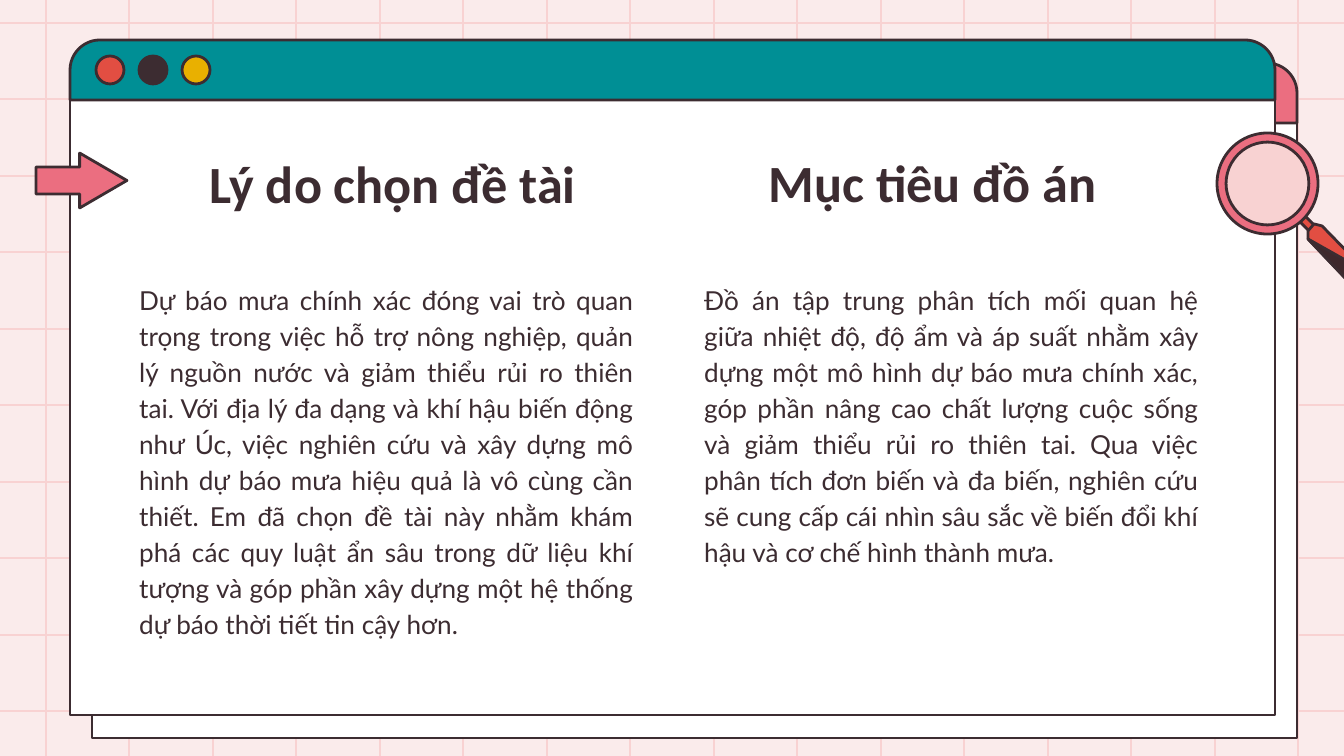
from dataclasses import dataclass

from lxml.etree import SubElement
from pptx import Presentation
from pptx.dml.color import RGBColor as Color
from pptx.enum.shapes import MSO_CONNECTOR as Link, MSO_SHAPE as Kind
from pptx.enum.text import MSO_ANCHOR as Anchor, PP_ALIGN as Align
from pptx.oxml.ns import qn
from pptx.util import Emu, Pt

WIDE, HIGH = 1344, 756
SCALE = 9144000 / WIDE


def px(n):
    return Emu(round(n * SCALE))


@dataclass(frozen=True)
class Theme:
    paper: str = "FAEBEB"
    grid: str = "F8D2D2"
    ink: str = "3C2C31"
    dark: str = "3E282C"
    white: str = "FFFFFF"
    pink: str = "EB6E80"
    teal: str = "008F95"
    red: str = "E24E42"
    gold: str = "E9B000"
    head: str = "Calibri"
    body: str = "Lato"
    big: int = 28
    small: int = 14
    line: float = 1.5


class Board:
    def __init__(self, slide, theme):
        self.shapes = slide.shapes
        self.theme = theme
        fill = slide.background.fill
        fill.solid()
        fill.fore_color.rgb = Color.from_string(theme.paper)

    def stroke(self, line, color):
        line.color.rgb = Color.from_string(color)
        line.width = Pt(self.theme.line)

    def paint(self, shape, color):
        shape.shadow.inherit = False
        shape.fill.solid()
        shape.fill.fore_color.rgb = Color.from_string(color)
        self.stroke(shape.line, self.theme.ink)

    def rule(self, x1, y1, x2, y2):
        line = self.shapes.add_connector(Link.STRAIGHT, px(x1), px(y1), px(x2), px(y2))
        self.stroke(line.line, self.theme.grid)
        SubElement(line.element.spPr, qn("a:effectLst"))

    def shape(self, kind, x, y, w, h, color, *bends):
        shape = self.shapes.add_shape(kind, px(x), px(y), px(w), px(h))
        for i, bend in enumerate(bends):
            shape.adjustments[i] = bend
        self.paint(shape, color)

    def poly(self, points, color):
        pen = self.shapes.build_freeform(*points[0], scale=SCALE)
        pen.add_line_segments(points[1:], close=True)
        self.paint(pen.convert_to_shape(), color)

    def window(self, x, y, color):
        t = self.theme
        wide, bar, dot = 1205, 60, 28
        self.shape(Kind.RECTANGLE, x, y + bar, wide, 615, t.white)
        self.shape(Kind.ROUND_2_SAME_RECTANGLE, x, y, wide, bar, color, 0.5, 0)
        for i, tint in enumerate((t.red, t.ink, t.gold)):
            self.shape(Kind.OVAL, x + 26 + 43 * i, y + 16, dot, dot, tint)

    def text(self, words, x, y, w, h, face, size, bold, align, space):
        frame = self.shapes.add_textbox(px(x), px(y), px(w), px(h)).text_frame
        frame.word_wrap = True
        frame.vertical_anchor = Anchor.TOP
        frame.margin_left = frame.margin_right = Pt(7.2)
        frame.margin_top = frame.margin_bottom = Pt(7.2)
        para = frame.paragraphs[0]
        para.text = words
        para.alignment = align
        para.line_spacing = space
        font = para.font
        font.name, font.size, font.bold = face, Pt(size), bold
        font.color.rgb = Color.from_string(self.theme.ink)

    def title(self, words, x, y):
        t = self.theme
        self.text(words, x, y, 521, 85, t.head, t.big, True, Align.CENTER, 1.0)

    def prose(self, words, x, y):
        t = self.theme
        self.text(words, x, y, 521, 387, t.body, t.small, False, Align.JUSTIFY, 1.15)


REASON = (
    "Dự báo mưa chính xác đóng vai trò quan trọng trong việc hỗ trợ nông nghiệp, "
    "quản lý nguồn nước và giảm thiểu rủi ro thiên tai. Với địa lý đa dạng và khí hậu "
    "biến động như Úc, việc nghiên cứu và xây dựng mô hình dự báo mưa hiệu quả là vô "
    "cùng cần thiết. Em đã chọn đề tài này nhằm khám phá các quy luật ẩn sâu trong dữ "
    "liệu khí tượng và góp phần xây dựng một hệ thống dự báo thời tiết tin cậy hơn."
)
TARGET = (
    "Đồ án tập trung phân tích mối quan hệ giữa nhiệt độ, độ ẩm và áp suất nhằm xây "
    "dựng một mô hình dự báo mưa chính xác, góp phần nâng cao chất lượng cuộc sống và "
    "giảm thiểu rủi ro thiên tai. Qua việc phân tích đơn biến và đa biến, nghiên cứu "
    "sẽ cung cấp cái nhìn sâu sắc về biến đổi khí hậu và cơ chế hình thành mưa."
)
COLLAR = [(1313, 235), (1319, 230), (1304, 215), (1298, 220)]
SHADE = [(1363, 270), (1362, 274), (1357, 278), (1354, 280), (1347, 280), (1308, 239)]
GRIP = SHADE + [(1308, 231), (1314, 224), (1322, 226), (1361, 266)]


def main():
    deck = Presentation()
    deck.slide_width, deck.slide_height = px(WIDE), px(HIGH)
    theme = Theme()
    board = Board(deck.slides.add_slide(deck.slide_layouts[6]), theme)

    for i in range(16):
        x = 46 + round(1252 * i / 15)
        board.rule(x, 782, x, -48)
    for i in range(10):
        y = 23 + round(688 * i / 9)
        board.rule(-30, y, 1374, y)

    board.window(92, 63, theme.pink)
    board.window(70, 40, theme.teal)

    board.prose(REASON, 126, 266)
    board.title("Lý do chọn đề tài", 132, 138)
    board.prose(TARGET, 691, 266)
    board.title("Mục tiêu đồ án", 672, 137)

    board.poly(COLLAR, theme.red)
    board.poly(GRIP, theme.red)
    board.poly(SHADE, theme.dark)
    board.shape(Kind.OVAL, 1223, 138, 90, 90, theme.grid)
    board.shape(Kind.DONUT, 1217, 133, 101, 101, theme.pink, 0.09)
    board.shape(Kind.RIGHT_ARROW, 36, 153, 91, 55, theme.pink, 0.49, 0.86)

    deck.save("out.pptx")


if __name__ == "__main__":
    main()
